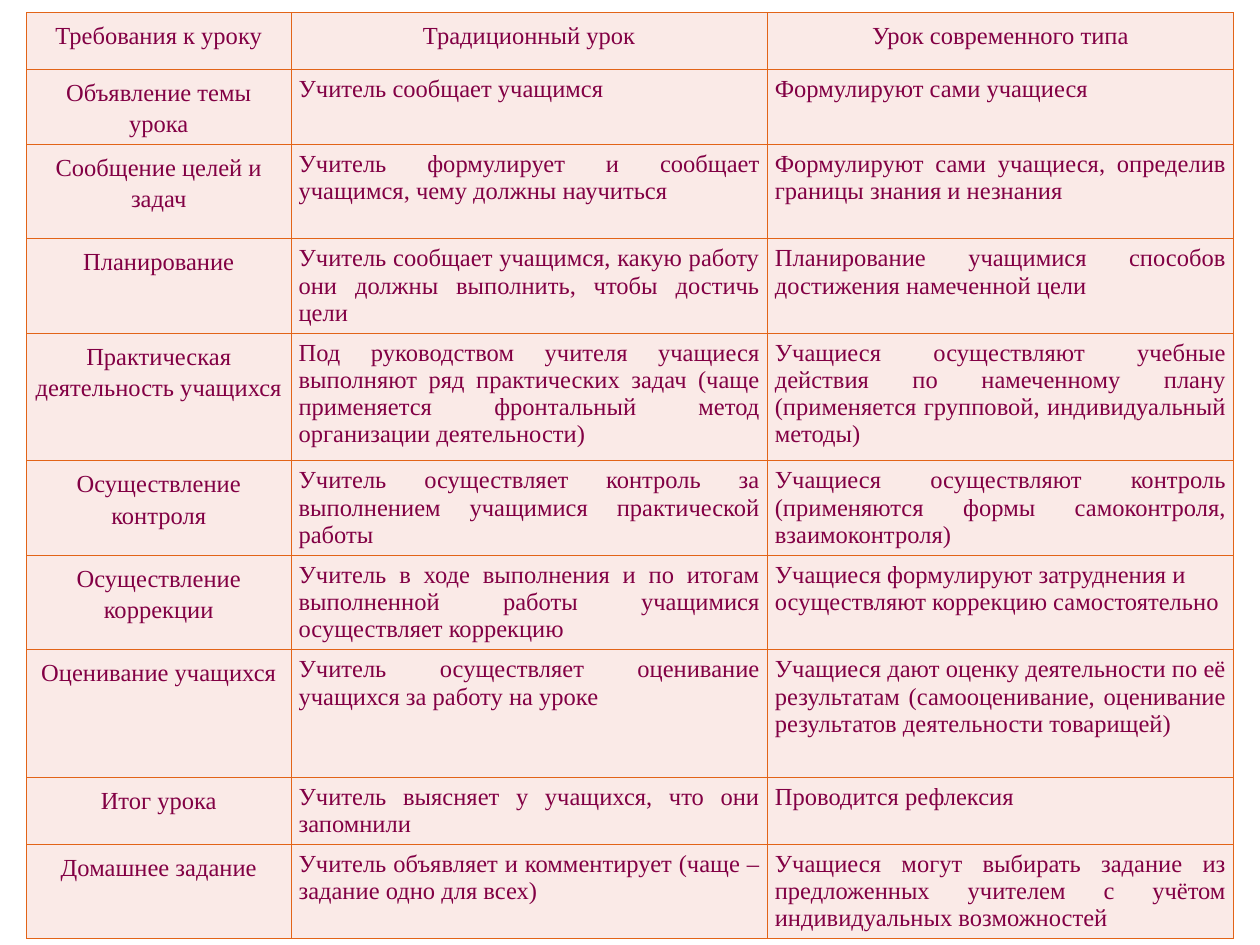
from lxml import etree
from pptx import Presentation
from pptx import util as u
from pptx.dml import color
from pptx.enum import text
from pptx.oxml import ns

COLORS = {"ink": "820044", "cell": "FAEAE7", "border": "E26418"}
ALIGN = text.PP_ALIGN
LABEL = {"alignment": ALIGN.CENTER, "line_spacing": 1.15, "space_after": u.Pt(10)}
BODY = {"alignment": ALIGN.JUSTIFY, "space_after": u.Pt(10)}
LOOSE = {**BODY, "alignment": ALIGN.LEFT}
INSETS = {
    "margin_left": u.Inches(0.06),
    "margin_right": u.Inches(0.06),
    "margin_top": u.Inches(0.05),
    "margin_bottom": u.Inches(0.05),
}
FONT = {"name": "Times New Roman", "size": u.Pt(14), "bold": False}
PLAIN = {"first_row": False, "horz_banding": False}

COLUMN_SHARES = [21, 37.8, 37]
ROW_SHARES = [6, 7.5, 10, 10, 13.5, 10, 10, 13.5, 6.7, 10]
LOOSE_CELL = (6, 2)

LESSONS = [
    ("Требования к уроку", "Традиционный урок", "Урок современного типа"),
    ("Объявление темы урока", "Учитель сообщает учащимся", "Формулируют сами учащиеся"),
    (
        "Сообщение целей и задач",
        "Учитель формулирует и сообщает учащимся, чему должны научиться",
        "Формулируют сами учащиеся, определив границы знания и незнания",
    ),
    (
        "Планирование",
        "Учитель сообщает учащимся, какую работу они должны выполнить, чтобы достичь цели",
        "Планирование учащимися способов достижения намеченной цели",
    ),
    (
        "Практическая деятельность учащихся",
        "Под руководством учителя учащиеся выполняют ряд практических задач "
        "(чаще применяется фронтальный метод организации деятельности)",
        "Учащиеся осуществляют учебные действия по намеченному плану "
        "(применяется групповой, индивидуальный методы)",
    ),
    (
        "Осуществление контроля",
        "Учитель осуществляет контроль за выполнением учащимися практической работы",
        "Учащиеся осуществляют контроль (применяются формы самоконтроля, взаимоконтроля)",
    ),
    (
        "Осуществление коррекции",
        "Учитель в ходе выполнения и по итогам выполненной работы учащимися "
        "осуществляет коррекцию",
        "Учащиеся формулируют затруднения и осуществляют коррекцию самостоятельно",
    ),
    (
        "Оценивание учащихся",
        "Учитель осуществляет оценивание учащихся за работу на уроке",
        "Учащиеся дают оценку деятельности по её результатам "
        "(самооценивание, оценивание результатов деятельности товарищей)",
    ),
    (
        "Итог урока",
        "Учитель выясняет у учащихся, что они запомнили",
        "Проводится рефлексия",
    ),
    (
        "Домашнее задание",
        "Учитель объявляет и комментирует (чаще – задание одно для всех)",
        "Учащиеся могут выбирать задание из предложенных учителем "
        "с учётом индивидуальных возможностей",
    ),
]


def apply(target, values):
    for name, value in values.items():
        setattr(target, name, value)


class LessonDeck:
    """Holds the style and the current slide; lengths are percent of the slide."""

    def __init__(self, width, height):
        self.deck = Presentation()
        self.deck.slide_width, self.deck.slide_height = u.Inches(width), u.Inches(height)
        self.page = self.deck.slides.add_slide(self.deck.slide_layouts[6])

    def across(self, share):
        return round(self.deck.slide_width * share / 100)

    def down(self, share):
        return round(self.deck.slide_height * share / 100)

    def table(self, left, top, columns, rows, content):
        frame = self.page.shapes.add_table(
            len(rows), len(columns), self.across(left), self.down(top),
            self.across(sum(columns)), self.down(sum(rows)),
        )
        grid = frame.table
        apply(grid, PLAIN)
        for column, share in zip(grid.columns, columns):
            column.width = self.across(share)
        for row, share in zip(grid.rows, rows):
            row.height = self.down(share)
        for r, words in enumerate(content):
            for c, wording in enumerate(words):
                layout = LABEL if r == 0 or c == 0 else BODY
                self.cell(grid.cell(r, c), wording, LOOSE if (r, c) == LOOSE_CELL else layout)

    def cell(self, box, wording, layout):
        apply(box, INSETS)
        self.borders(box)
        box.fill.solid()
        box.fill.fore_color.rgb = color.RGBColor.from_string(COLORS["cell"])
        para = box.text_frame.paragraphs[0]
        apply(para, layout)
        span = para.add_run()
        span.text = wording
        apply(span.font, FONT)
        span.font.color.rgb = color.RGBColor.from_string(COLORS["ink"])

    def borders(self, box):
        properties = box._tc.get_or_add_tcPr()
        for side in ("a:lnL", "a:lnR", "a:lnT", "a:lnB"):
            line = etree.SubElement(properties, ns.qn(side), w=str(u.Pt(0.45)))
            fill = etree.SubElement(line, ns.qn("a:solidFill"))
            etree.SubElement(fill, ns.qn("a:srgbClr"), val=COLORS["border"])


def main():
    lessons = LessonDeck(10, 7.5)
    lessons.table(2.1, 1.35, COLUMN_SHARES, ROW_SHARES, LESSONS)
    lessons.deck.save("out.pptx")


if __name__ == "__main__":
    main()
